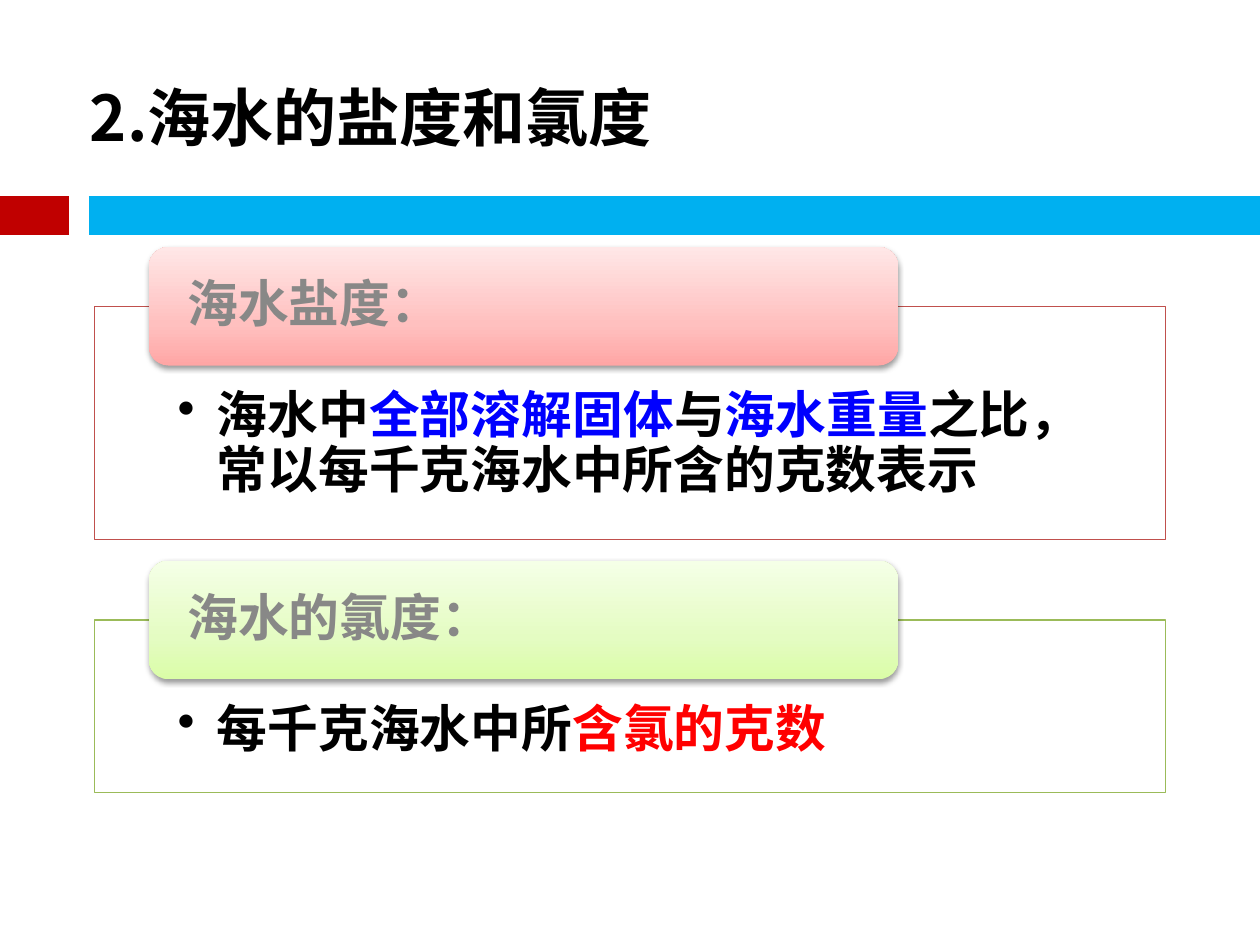
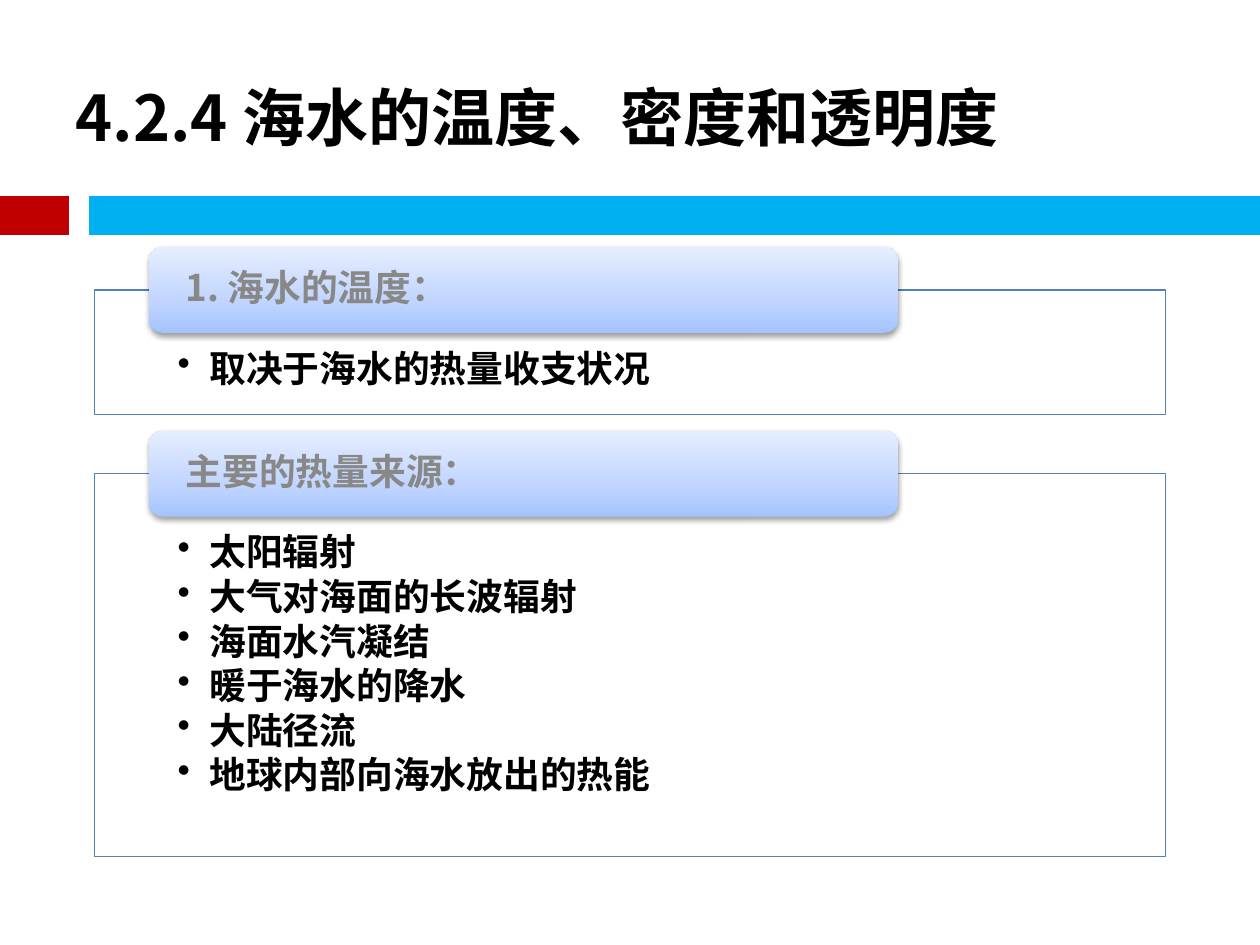
import copy

import pptx
import pptx.dml.color
import pptx.enum.dml
import pptx.enum.shapes
import pptx.enum.text
import pptx.oxml.ns
import pptx.util
from lxml import etree

Cm, Pt = pptx.util.Cm, pptx.util.Pt
qn = pptx.oxml.ns.qn
SHAPE = pptx.enum.shapes.MSO_SHAPE

COLORS = {
    "text": "000000", "heading": "888887", "panel": "FFFFFF",
    "blue": "0000FF", "red": "FF0000",
    "band_short": "C00000", "band_long": "00B0F0",
}
# Each theme: panel outline and the heading's gradient from bottom to top
THEMES = {
    "red": ("C0504D", ["FFA6A5", "FFC0BF", "FFE7E7"]),
    "green": ("9BBB59", ["DAFDA7", "E4FCC2", "F5FFE7"]),
    "blue": ("4F81BD", ["A4C4FF", "BFD4FF", "E6EEFF"]),
}
GRADIENT_POSITIONS = [0, 0.35, 1]
TITLE_FONT, BODY_FONT = "Noto Sans CJK SC", "Calibri"

SLIDE_WIDTH, SLIDE_HEIGHT = 25.4, 19.05
BAND_Y = 4.34
FIRST_HEADING_TOP = 4.98
PANEL_LEFT, PANEL_WIDTH, PANEL_INSET = 1.9, 21.6, 1.68
HEADING_LEFT, HEADING_WIDTH, HEADING_INSET = 3.0, 15.11, 0.66

# Text sizes in points, lengths in centimetres
LARGE = {"size": 29, "heading_height": 2.39, "gap": 0.43,
         "inset_top": 1.68, "inset_bottom": 0.58, "indent": 0.79}
SMALL = {"size": 21, "heading_height": 1.73, "gap": 0.33,
         "inset_top": 1.22, "inset_bottom": 0.41, "indent": 0.64}


def rgb(value):
    return pptx.dml.color.RGBColor.from_string(value)


def set_typeface(font, name):
    """Use one typeface for Latin and East Asian text."""
    font.name = name
    latin = font._element.find(qn("a:latin")) if hasattr(font, "_element") \
        else font._rPr.find(qn("a:latin"))
    east_asian = copy.deepcopy(latin)
    east_asian.tag = qn("a:ea")
    latin.addnext(east_asian)


def set_font(font, name, size, color):
    font.size = Pt(size)
    font.bold = True
    font.color.rgb = rgb(color)
    set_typeface(font, name)


def set_bullet(paragraph, indent):
    properties = paragraph._p.get_or_add_pPr()
    properties.set("marL", str(Cm(indent)))
    properties.set("indent", str(-Cm(indent)))
    etree.SubElement(properties, qn("a:buChar"), char="•")


def fill_paragraph(paragraph, parts, size, color, indent=None):
    """Write parts: plain strings, or (text, changes) pairs."""
    paragraph.alignment = pptx.enum.text.PP_ALIGN.LEFT
    paragraph.line_spacing = 0.9
    if indent:
        paragraph.space_after = Pt(2.8)
        set_bullet(paragraph, indent)
    set_font(paragraph.font, BODY_FONT, size, color)
    for part in parts:
        text, changes = (part, {}) if isinstance(part, str) else part
        run = paragraph.add_run()
        run.text = text
        if "color" in changes:
            run.font.color.rgb = rgb(COLORS[changes["color"]])
        if "font" in changes:
            set_typeface(run.font, changes["font"])


def add_block(slide, kind, left, top, width, height, insets):
    block = slide.shapes.add_shape(kind, Cm(left), Cm(top), Cm(width), Cm(height))
    block.shadow.inherit = False
    frame = block.text_frame
    frame.word_wrap = True
    (frame.margin_left, frame.margin_top,
     frame.margin_right, frame.margin_bottom) = map(Cm, insets)
    return block


def add_panel(slide, top, height, bullets, outline, style):
    panel = add_block(slide, SHAPE.RECTANGLE, PANEL_LEFT, top, PANEL_WIDTH, height,
                      (PANEL_INSET, style["inset_top"],
                       PANEL_INSET, style["inset_bottom"]))
    panel.fill.solid()
    panel.fill.fore_color.rgb = rgb(COLORS["panel"])
    panel.line.color.rgb = rgb(outline)
    panel.line.width = Pt(0.75)
    frame = panel.text_frame
    frame.vertical_anchor = pptx.enum.text.MSO_ANCHOR.TOP
    for index, parts in enumerate(bullets):
        paragraph = frame.add_paragraph() if index else frame.paragraphs[0]
        fill_paragraph(paragraph, parts, style["size"], COLORS["text"],
                       style["indent"])


def set_gradient(block, colors):
    block.fill.gradient()
    block.fill.gradient_angle = 90
    stop_list = block._element.spPr.find(".//" + qn("a:gsLst"))
    stop_list.append(copy.deepcopy(stop_list[0]))
    for stop, position, color in zip(block.fill.gradient_stops,
                                     GRADIENT_POSITIONS, colors):
        stop.position = position
        stop.color.rgb = rgb(color)


def add_soft_shadow(block):
    effects = block._element.spPr.find(qn("a:effectLst"))
    shadow = etree.SubElement(effects, qn("a:outerShdw"), blurRad="40000",
                              dist="20000", dir="5400000", rotWithShape="0")
    color = etree.SubElement(shadow, qn("a:srgbClr"), val="000000")
    etree.SubElement(color, qn("a:alpha"), val="38000")


def add_heading(slide, top, parts, gradient, style):
    heading = add_block(slide, SHAPE.ROUNDED_RECTANGLE, HEADING_LEFT, top,
                        HEADING_WIDTH, style["heading_height"],
                        (HEADING_INSET, 0, HEADING_INSET, 0))
    set_gradient(heading, gradient)
    heading.line.fill.background()
    add_soft_shadow(heading)
    heading.text_frame.vertical_anchor = pptx.enum.text.MSO_ANCHOR.MIDDLE
    fill_paragraph(heading.text_frame.paragraphs[0], parts, style["size"],
                   COLORS["heading"])


def add_sections(slide, sections, style):
    """Stack panels, each with its heading centred on the top edge."""
    top = FIRST_HEADING_TOP
    for heading, bullets, height, theme in sections:
        outline, gradient = THEMES[theme]
        panel_top = top + style["heading_height"] / 2
        add_panel(slide, panel_top, height, bullets, outline, style)
        add_heading(slide, top, heading, gradient, style)
        top = panel_top + height + style["gap"]


def add_band(slide, start, end, color):
    band = slide.shapes.add_connector(pptx.enum.shapes.MSO_CONNECTOR.STRAIGHT,
                                      Cm(start), Cm(BAND_Y), Cm(end), Cm(BAND_Y))
    band.line.color.rgb = rgb(color)
    band.line.width = Pt(22)
    etree.SubElement(band._element.spPr, qn("a:effectLst"))


def add_titled_slide(deck, text):
    slide = deck.slides.add_slide(deck.slide_layouts[5])
    title = slide.shapes.title
    title.left, title.top, title.width, title.height = map(
        Cm, (1.27, 0.76, 22.86, 3.18))
    title.text_frame.text = text
    title.text_frame.vertical_anchor = pptx.enum.text.MSO_ANCHOR.MIDDLE
    paragraph = title.text_frame.paragraphs[0]
    paragraph.alignment = pptx.enum.text.PP_ALIGN.LEFT
    set_font(paragraph.font, TITLE_FONT, 36, COLORS["text"])
    add_band(slide, 0, 1.4, COLORS["band_short"])
    add_band(slide, 1.79, SLIDE_WIDTH, COLORS["band_long"])
    return slide


def main():
    deck = pptx.Presentation()
    deck.slide_width, deck.slide_height = Cm(SLIDE_WIDTH), Cm(SLIDE_HEIGHT)

    # Salinity and chlorinity
    salinity = add_titled_slide(deck, " 2.海水的盐度和氯度")
    add_sections(salinity, [
        (["海水盐度："],
         [["海水中", ("全部溶解固体", {"color": "blue"}), "与",
           ("海水重量", {"color": "blue"}),
           "之比，常以每千克海水中所含的克数表示"]],
         4.7, "red"),
        (["海水的氯度："],
         [["每千克海水中所", ("含氯的克数", {"color": "red"})]],
         3.48, "green"),
    ], LARGE)

    # Temperature and heat sources
    temperature = add_titled_slide(deck, "4.2.4 海水的温度、密度和透明度")
    heat_sources = ["太阳辐射", "大气对海面的长波辐射", "海面水汽凝结",
                    "暖于海水的降水", "大陆径流", "地球内部向海水放出的热能"]
    add_sections(temperature, [
        ([("1. ", {"font": TITLE_FONT}), "海水的温度："],
         [["取决于海水的热量收支状况"]], 2.51, "blue"),
        (["主要的热量来源："],
         [[source] for source in heat_sources], 7.72, "blue"),
    ], SMALL)

    deck.save("out.pptx")


if __name__ == "__main__":
    main()
